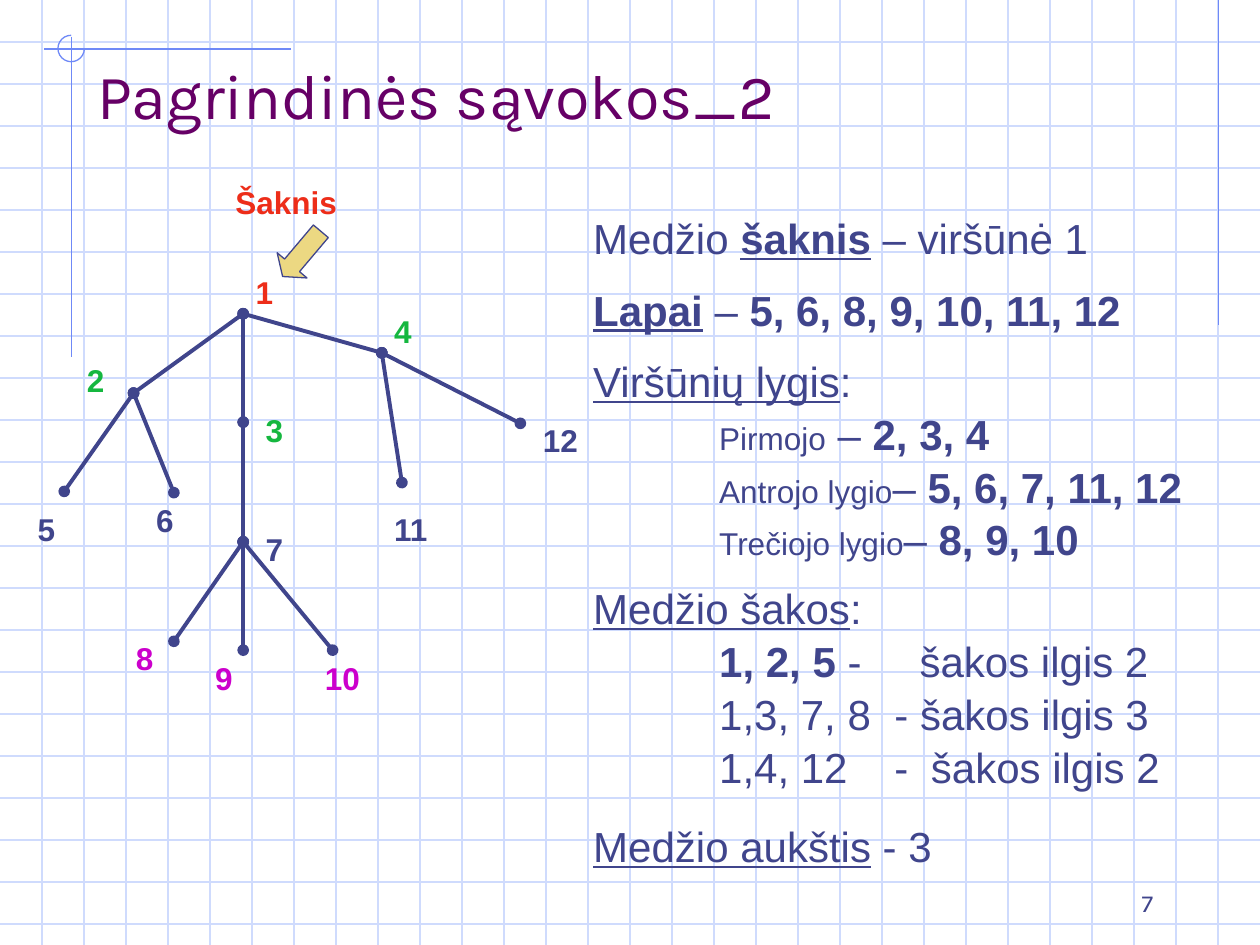
from lxml.etree import SubElement
from pptx import Presentation
from pptx.dml.color import RGBColor
from pptx.enum.shapes import MSO_CONNECTOR, MSO_SHAPE
from pptx.enum.text import MSO_ANCHOR as Anchor, PP_ALIGN as Align
from pptx.oxml.ns import qn
from pptx.util import Inches, Pt

INK, GRID, ACCENT = "40458C", "CFDBFD", "6F89F7"
PURPLE, RED, GREEN, MAGENTA, SAND = "660066", "ED2D19", "15B73F", "CC00CC", "ECD882"

VERTICES = {
    1: (1.93, 2.49), 2: (1.06, 3.12), 3: (1.93, 3.35), 4: (3.03, 2.8),
    5: (0.51, 3.9), 6: (1.38, 3.91), 7: (1.93, 4.3), 8: (1.38, 5.09),
    9: (1.93, 5.16), 10: (2.64, 5.16), 11: (3.19, 3.83), 12: (4.13, 3.36),
}
BRANCHES = [(1, 2), (2, 5), (2, 6), (1, 3), (3, 7), (7, 8), (7, 9), (7, 10),
            (4, 12), (4, 11), (1, 4)]
LABELS = {
    7: (2.01, 4.14, INK), 5: (0.2, 3.98, INK), 4: (3.03, 2.41, GREEN),
    2: (0.59, 2.8, GREEN), 3: (2.01, 3.2, GREEN), 6: (1.14, 3.91, INK),
    11: (3.03, 3.98, INK), 10: (2.48, 5.17, MAGENTA), 8: (0.98, 5.01, MAGENTA),
    9: (1.61, 5.17, MAGENTA), 12: (4.21, 3.28, INK), 1: (1.93, 2.1, RED),
}
DEFINITIONS = [
    (0, (), [("Medžio ", ""), ("šaknis", "bu"), (" – viršūnė 1", "")]),
    (10.5, (), [("Lapai", "bu"), (" ", "b"), ("– ", ""), ("5, 6, 8, 9, 10, 11, 12", "b")]),
    (10.5, (), [("Viršūnių lygis", "u"), (":", "")]),
    (0, (1,), [("\tPirmojo", "s"), (" – ", ""), ("2, 3, 4", "b")]),
    (0, (1,), [("\tAntrojo lygio", "s"), ("– ", ""), ("5, 6, 7, 11, 12", "b")]),
    (0, (1,), [("\tTrečiojo lygio", "s"), ("– ", ""), ("8, 9, 10", "b")]),
    (9, (), [("Medžio šakos", "u"), (":", "")]),
    (0, (1, 2.59), [("\t", ""), ("1, 2, 5", "b"), (" -\tšakos ilgis 2", "")]),
    (0, (1, 2.39), [("\t1,3, 7, 8\t- šakos ilgis 3", "")]),
    (0, (1, 2.39, 2.68), [("\t1,4, 12\t-\tšakos ilgis 2", "")]),
    (15, (), [("Medžio aukštis", "u"), (" - 3", "")]),
]


def color(hex_code):
    """Turn a hex string into a colour."""
    return RGBColor.from_string(hex_code)


def set_font(font, size, hex_code, name="Arial", bold=False, underline=False):
    """Format a font."""
    font.name, font.size = name, Pt(size)
    font.bold, font.underline = bold, underline
    font.color.rgb = color(hex_code)


class TreeSlide:
    """Hold the style and the current slide."""

    def __init__(self, deck):
        """Add a title-only slide."""
        self.slide = deck.slides.add_slide(deck.slide_layouts[5])
        self.shapes = self.slide.shapes

    def title(self, text, left, top, width, height):
        """Place the title in front of the grid."""
        title = self.shapes.title
        title.left, title.top = Inches(left), Inches(top)
        title.width, title.height = Inches(width), Inches(height)
        frame = title.text_frame
        frame.text = text
        frame.vertical_anchor = Anchor.BOTTOM
        frame.margin_bottom = Inches(0.02)
        heading = frame.paragraphs[0]
        heading.alignment = Align.LEFT
        set_font(heading.runs[0].font, 36, PURPLE, "Karla")
        self.shapes._spTree.append(title._element)

    def line(self, start, end, hex_code, width=0.75, ends=None):
        """Draw a straight line, with end marks if given."""
        points = [Inches(value) for value in (*start, *end)]
        line = self.shapes.add_connector(MSO_CONNECTOR.STRAIGHT, *points)
        line.line.color.rgb = color(hex_code)
        line.line.width = Pt(width)
        properties = line._element.spPr
        if ends:
            for tag in ("a:headEnd", "a:tailEnd"):
                SubElement(properties.find(qn("a:ln")), qn(tag), type=ends)
        SubElement(properties, qn("a:effectLst"))

    def shape(self, kind, left, top, width, height, outline, fill=None, adjust=(), turn=0):
        """Draw a preset shape."""
        shape = self.shapes.add_shape(
            kind, Inches(left), Inches(top), Inches(width), Inches(height))
        shape.shadow.inherit = False
        shape.rotation = turn
        for index, value in enumerate(adjust):
            shape.adjustments[index] = value
        if fill:
            shape.fill.solid()
            shape.fill.fore_color.rgb = color(fill)
        else:
            shape.fill.background()
        shape.line.color.rgb = color(outline)
        shape.line.width = Pt(0.75)

    def frame(self, left, top, width, height):
        """Add a wrapping text box and return its frame."""
        box = self.shapes.add_textbox(
            Inches(left), Inches(top), Inches(width), Inches(height))
        box.text_frame.word_wrap = True
        return box.text_frame

    def label(self, text, left, top, width, hex_code):
        """Add a bold one-line label."""
        frame = self.frame(left, top, width, 0.4)
        frame.text = text
        frame.paragraphs[0].line_spacing = 1.05
        set_font(frame.paragraphs[0].runs[0].font, 18, hex_code, bold=True)

    def page_number(self, text, left, top, width, height):
        """Add the page number at the bottom right."""
        frame = self.frame(left, top, width, height)
        frame.text = text
        frame.vertical_anchor = Anchor.BOTTOM
        frame.paragraphs[0].alignment = Align.RIGHT
        set_font(frame.paragraphs[0].runs[0].font, 14, INK, "Karla")

    def rich_text(self, rows, left, top, width, height):
        """Add paragraphs of mixed runs: b bold, u underlined, s small."""
        frame = self.frame(left, top, width, height)
        for index, (gap, stops, parts) in enumerate(rows):
            row = frame.add_paragraph() if index else frame.paragraphs[0]
            row.space_before, row.line_spacing = Pt(gap), 1.05
            if stops:
                tabs = SubElement(row._p.get_or_add_pPr(), qn("a:tabLst"))
                for stop in stops:
                    SubElement(tabs, qn("a:tab"), pos=str(Inches(stop)), algn="l")
            for text, style in parts:
                run = row.add_run()
                run.text = text
                set_font(run.font, 18 if "s" in style else 24, INK,
                         bold="b" in style, underline="u" in style)


def main():
    """Build the slide and save it."""
    deck = Presentation()
    deck.slide_width, deck.slide_height = Inches(10), Inches(7.5)
    page = TreeSlide(deck)

    for step in range(1, 23):
        page.line((0, step / 3), (10, step / 3), GRID)
    for step in range(1, 30):
        page.line((step / 3, 0), (step / 3, 7.5), GRID)
    page.line((9.67, 0), (9.67, 2.58), ACCENT)
    page.line((2.31, 0.39), (0.35, 0.39), ACCENT)
    page.line((0.57, 0.29), (0.57, 2.83), ACCENT)
    page.shape(MSO_SHAPE.ARC, 0.46, 0.28, 0.21, 0.21, ACCENT, adjust=(0, 162))

    page.page_number("7", 7.17, 6.83, 2.08, 0.5)
    page.title("Pagrindinės sąvokos_2", 0.67, 0.33, 8.5, 0.74)

    for parent, child in BRANCHES:
        page.line(VERTICES[parent], VERTICES[child], INK, 2.25, "oval")
    for vertex, (left, top, hex_code) in LABELS.items():
        page.label(str(vertex), left, top, 0.39 if vertex < 10 else 0.63, hex_code)

    page.rich_text(DEFINITIONS, 4.61, 1.62, 5.12, 5.13)
    page.label("Šaknis", 1.77, 1.39, 1.42, RED)
    page.shape(MSO_SHAPE.LEFT_ARROW, 2.16, 1.86, 0.47, 0.31, INK, SAND, (0.5, 0.375), 310.2)
    deck.save("out.pptx")


if __name__ == "__main__":
    main()
